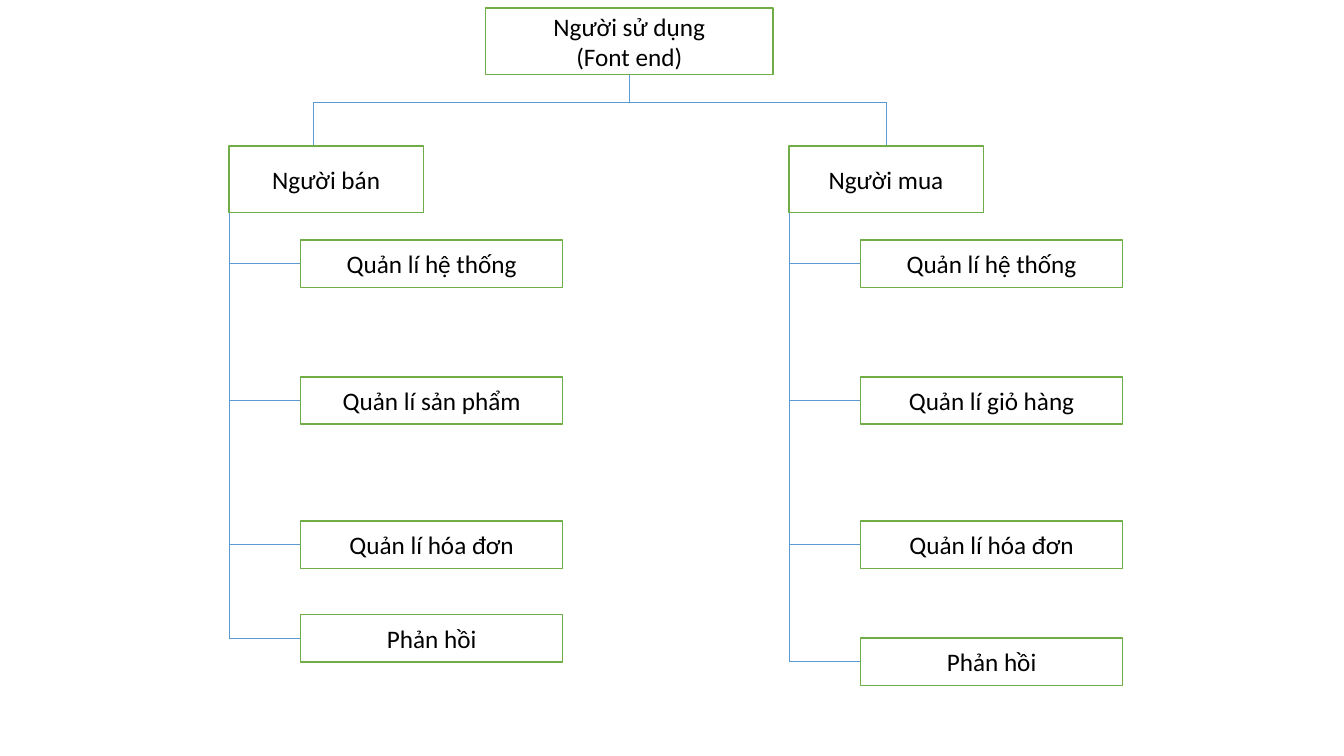
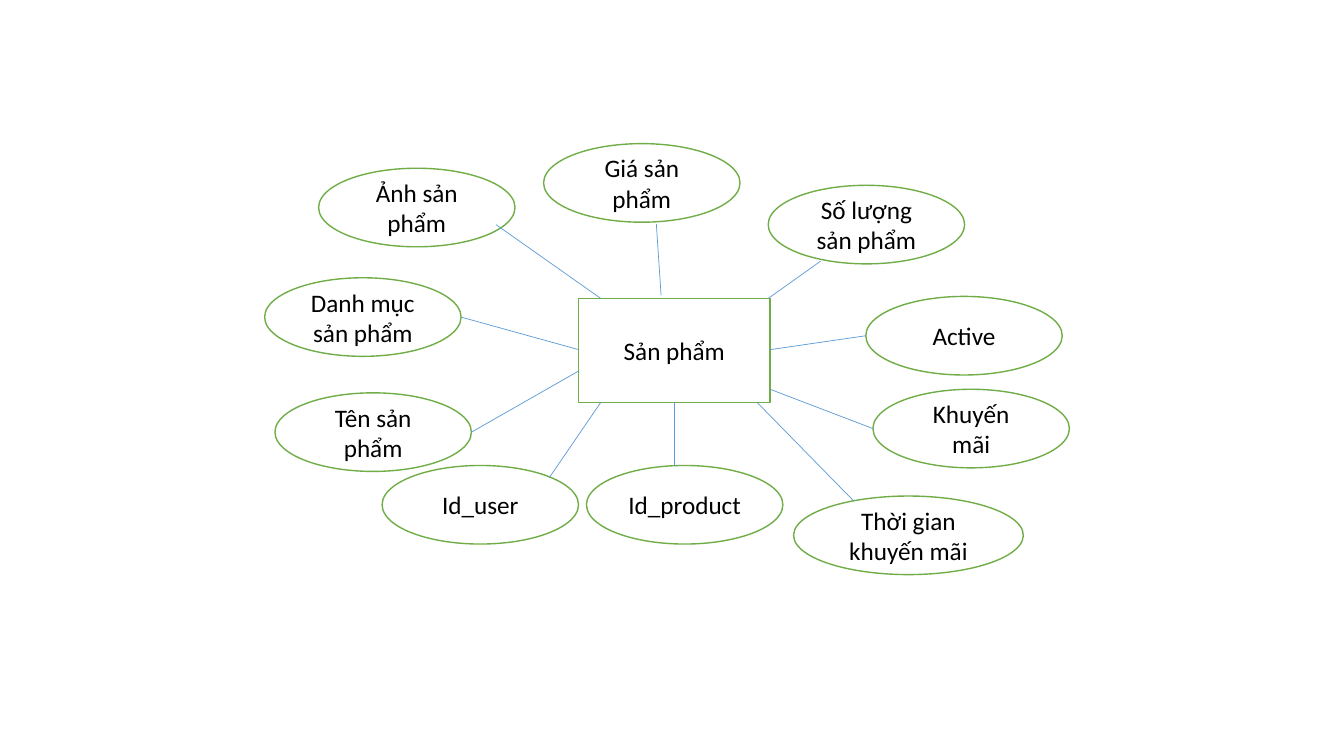
from dataclasses import dataclass

from lxml import etree
from pptx import Presentation
from pptx.dml.color import RGBColor
from pptx.enum.shapes import MSO_CONNECTOR, MSO_SHAPE
from pptx.enum.text import MSO_ANCHOR, PP_ALIGN
from pptx.oxml.ns import qn
from pptx.util import Cm, Pt

RECTANGLE = MSO_SHAPE.RECTANGLE
ELLIPSE = MSO_SHAPE.OVAL
STRAIGHT = MSO_CONNECTOR.STRAIGHT
CENTER = PP_ALIGN.CENTER
MIDDLE = MSO_ANCHOR.MIDDLE
BLANK_LAYOUT = 6


@dataclass(frozen=True)
class Theme:
    """Colours, type and line widths shared by the slides."""

    fill: RGBColor = RGBColor(0xFF, 0xFF, 0xFF)
    outline: RGBColor = RGBColor(0x70, 0xAD, 0x47)
    link: RGBColor = RGBColor(0x5B, 0x9B, 0xD5)
    text: RGBColor = RGBColor(0, 0, 0)
    font: str = "Calibri"
    size: Pt = Pt(18)
    outline_width: Pt = Pt(1)
    link_width: Pt = Pt(0.5)


THEME = Theme()
FONT_FORMAT = {"name": THEME.font, "size": THEME.size}
FRAME_FORMAT = {"word_wrap": True, "vertical_anchor": MIDDLE}

ROOT_BOX = (12.24, 0.2, 7.24, 1.68)
BUS_TOP = 2.57
BRANCH_TOP, BRANCH_WIDTH, BRANCH_HEIGHT = 3.68, 4.9, 1.68
CHILD_INDENT, CHILD_WIDTH, CHILD_HEIGHT = 1.81, 6.6, 1.19
BRANCHES = [
    ("Người bán", 5.77, 7.9, [
        ("Quản lí hệ thống", 6.05),
        ("Quản lí sản phẩm", 9.5),
        ("Quản lí hóa đơn", 13.13),
        ("Phản hồi", 15.49),
    ]),
    ("Người mua", 19.88, 22.33, [
        ("Quản lí hệ thống", 6.05),
        ("Quản lí giỏ hàng", 9.5),
        ("Quản lí hóa đơn", 13.13),
        ("Phản hồi", 16.08),
    ]),
]

ENTITY_BOX = (14.58, 7.52, 4.83, 2.62)
ATTRIBUTE_WIDTH, WIDE_ATTRIBUTE_WIDTH, ATTRIBUTE_HEIGHT = 4.95, 5.79, 1.98
ATTRIBUTES = [
    ("Id_product", 14.78, 11.73, ATTRIBUTE_WIDTH, (16.99, 11.73), (16.99, 10.14)),
    ("Id_user", 9.63, 11.73, ATTRIBUTE_WIDTH, (13.84, 12.04), (15.14, 10.14)),
    ("Tên sản phẩm", 6.93, 9.9, ATTRIBUTE_WIDTH, (11.88, 10.89), (14.58, 9.35)),
    ("Danh mục sản phẩm", 6.67, 7, ATTRIBUTE_WIDTH, (11.62, 7.99), (14.58, 8.81)),
    ("Ảnh sản phẩm", 8.03, 4.24, ATTRIBUTE_WIDTH, (12.5, 5.66), (15.14, 7.52)),
    ("Giá sản phẩm", 13.7, 3.62, ATTRIBUTE_WIDTH, (16.54, 5.64), (16.66, 7.44)),
    ("Số lượng sản phẩm", 19.36, 4.67, ATTRIBUTE_WIDTH, (20.68, 6.58), (19.36, 7.52)),
    ("Active", 21.82, 7.47, ATTRIBUTE_WIDTH, (21.82, 8.46), (19.41, 8.81)),
    ("Khuyến mãi", 22, 9.81, ATTRIBUTE_WIDTH, (22, 10.8), (19.41, 9.81)),
    ("Thời gian khuyến mãi", 20, 12.5, WIDE_ATTRIBUTE_WIDTH, (21.51, 12.62), (19.08, 10.14)),
]


def apply_format(target, values):
    """Set each named attribute on the target."""
    for name, value in values.items():
        setattr(target, name, value)


def add_node(slide, kind, text, left, top, width, height):
    """Add an outlined shape with centred text, measured in centimetres."""
    shape = slide.shapes.add_shape(kind, Cm(left), Cm(top), Cm(width), Cm(height))
    shape.shadow.inherit = False
    shape.fill.solid()
    shape.fill.fore_color.rgb = THEME.fill
    shape.line.color.rgb = THEME.outline
    shape.line.width = THEME.outline_width
    frame = shape.text_frame
    apply_format(frame, FRAME_FORMAT)
    frame.text = text
    for paragraph in frame.paragraphs:
        paragraph.alignment = CENTER
        apply_format(paragraph.font, FONT_FORMAT)
        paragraph.font.color.rgb = THEME.text


def add_link(slide, start, end):
    """Join two points, measured in centimetres, with a thin line."""
    points = [Cm(value) for value in (*start, *end)]
    connector = slide.shapes.add_connector(STRAIGHT, *points)
    connector.line.color.rgb = THEME.link
    connector.line.width = THEME.link_width
    etree.SubElement(connector.element.spPr, qn("a:effectLst"))


def add_branch(slide, text, left, drop, children):
    """Add a user role with its functions hanging from a trunk line."""
    add_link(slide, (drop, BUS_TOP), (drop, BRANCH_TOP))
    add_node(slide, RECTANGLE, text, left, BRANCH_TOP, BRANCH_WIDTH, BRANCH_HEIGHT)
    trunk_end = children[-1][1] + CHILD_HEIGHT / 2
    add_link(slide, (left, BRANCH_TOP + BRANCH_HEIGHT), (left, trunk_end))
    child_left = left + CHILD_INDENT
    for label, top in children:
        middle = top + CHILD_HEIGHT / 2
        add_link(slide, (left, middle), (child_left, middle))
        add_node(slide, RECTANGLE, label, child_left, top, CHILD_WIDTH, CHILD_HEIGHT)


def build_function_tree(slide):
    """Draw the tree of front-end users and their functions."""
    add_node(slide, RECTANGLE, "Người sử dụng\n(Font end)", *ROOT_BOX)
    left, top, width, height = ROOT_BOX
    middle = left + width / 2
    add_link(slide, (middle, top + height), (middle, BUS_TOP))
    drops = [drop for _, _, drop, _ in BRANCHES]
    add_link(slide, (drops[0], BUS_TOP), (drops[-1], BUS_TOP))
    for branch in BRANCHES:
        add_branch(slide, *branch)


def build_product_entity(slide):
    """Draw the product entity with its attributes."""
    add_node(slide, RECTANGLE, "Sản phẩm", *ENTITY_BOX)
    for text, left, top, width, start, end in ATTRIBUTES:
        add_node(slide, ELLIPSE, text, left, top, width, ATTRIBUTE_HEIGHT)
        add_link(slide, start, end)


def main():
    """Build and save the presentation."""
    presentation = Presentation()
    presentation.slide_width = Cm(33.87)
    presentation.slide_height = Cm(19.05)
    layout = presentation.slide_layouts[BLANK_LAYOUT]
    for build in (build_function_tree, build_product_entity):
        build(presentation.slides.add_slide(layout))
    presentation.save("out.pptx")


if __name__ == "__main__":
    main()
